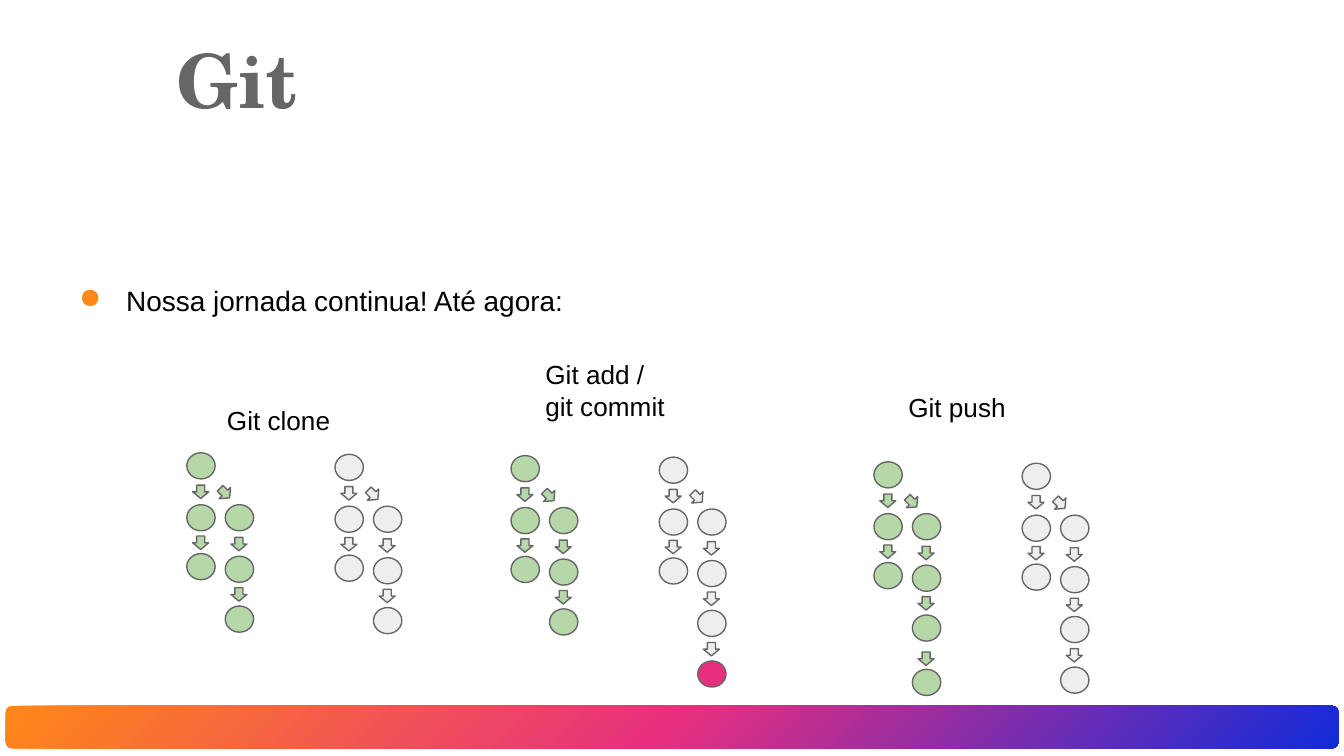
"""Build the Git slide: three steps, each with a green and a grey commit tree."""
from copy import deepcopy

from lxml.etree import SubElement
from pptx import Presentation
from pptx.dml.color import RGBColor
from pptx.enum.shapes import MSO_SHAPE as SHAPE
from pptx.enum.text import MSO_ANCHOR as ANCHOR, MSO_AUTO_SIZE as AUTO_SIZE, PP_ALIGN as ALIGN
from pptx.oxml.ns import qn
from pptx.util import Pt

COLORS = {
    "orange": "FF8818", "pink": "E72F7F", "blue": "112BDA",
    "green": "B6D7A8", "light": "EEEEEE", "grey": "666666", "black": "000000",
}
RGB = {name: RGBColor.from_string(value) for name, value in COLORS.items()}


def write_text(shape, text, font_format, anchor=ANCHOR.TOP):
    frame = shape.text_frame
    frame_format = {
        "word_wrap": True, "auto_size": AUTO_SIZE.NONE, "vertical_anchor": anchor,
        "margin_left": Pt(7.2), "margin_right": Pt(7.2),
        "margin_top": Pt(7.2), "margin_bottom": Pt(7.2),
    }
    for name, value in frame_format.items():
        setattr(frame, name, value)
    paragraph = frame.paragraphs[0]
    paragraph.alignment = ALIGN.LEFT
    run = paragraph.add_run()
    run.text = text
    for name, value in font_format.items():
        setattr(run.font, name, value)
    run.font.color.rgb = RGB["grey" if font_format.get("bold") else "black"]
    return paragraph


def add_part(kind, left, top, width, height, color, rotation=0):
    shape = slide.shapes.add_shape(kind, Pt(left), Pt(top), Pt(width), Pt(height))
    shape.shadow.inherit = False
    shape.rotation = rotation
    shape.fill.solid()
    shape.fill.fore_color.rgb = RGB[color]
    shape.line.color.rgb = RGB["grey"]
    shape.line.width = Pt(0.75)


presentation = Presentation()
presentation.slide_width, presentation.slide_height = Pt(720), Pt(405)
slide = presentation.slides.add_slide(presentation.slide_layouts[5])

bar = slide.shapes.add_shape(SHAPE.ROUNDED_RECTANGLE, Pt(2.9), Pt(378), Pt(714.2), Pt(23))
bar.shadow.inherit = False
bar.adjustments[0] = 0.167
bar.line.fill.background()
bar.fill.gradient()
bar.fill.gradient_angle = 315
stop_list = bar.element.xpath(".//a:gsLst")[0]
stop_list.append(deepcopy(stop_list[0]))
for stop, position, color in zip(bar.fill.gradient_stops, (0, 0.5, 1), ("orange", "pink", "blue")):
    stop.position = position
    stop.color.rgb = RGB[color]

title = slide.shapes.title
title.left, title.top, title.width, title.height = Pt(87.1), Pt(16.6), Pt(547.9), Pt(51.1)
write_text(title, "Git", {"size": Pt(40), "name": "TeX Gyre Schola", "bold": True}, ANCHOR.MIDDLE)

body = slide.shapes.add_textbox(Pt(24.5), Pt(67.7), Pt(671.8), Pt(305.3))
paragraph = write_text(body, "Nossa jornada continua! Até agora:", {"size": Pt(15), "name": "Arial"})
body.text_frame.margin_top = Pt(75)
paragraph.line_spacing = 1.5
properties = paragraph._p.get_or_add_pPr()
properties.set("marL", str(Pt(36)))
properties.set("indent", str(-Pt(25.2)))
bullet_color = SubElement(properties, qn("a:buClr"))
SubElement(bullet_color, qn("a:srgbClr"), val=COLORS["orange"])
SubElement(properties, qn("a:buChar"), char="●")

NODES = [(0, 0), (0, 27.8), (0, 54), (20.6, 27.8), (20.6, 55.4), (20.6, 82.1)]
ARROWS = [(3.8, 16.6, 90), (3.8, 43.9, 90), (16.8, 17.3, 45), (24.3, 44.6, 90), (24.3, 71.6, 90)]
TREES = [
    (100.1, 242.6, "green", None),
    (179.5, 243.4, "light", None),
    (273.8, 244.1, "green", None),
    (353.2, 244.9, "light", (98.6, 109.2, "pink")),
    (468.2, 247.4, "green", (101.2, 111.2, "green")),
    (547.6, 248.2, "light", (98.6, 109.2, "light")),
]
for tree_left, tree_top, color, new_commit in TREES:
    nodes = [(*node, color) for node in NODES]
    arrows = list(ARROWS)
    if new_commit:
        arrow_top, node_top, node_color = new_commit
        nodes.append((20.6, node_top, node_color))
        arrows.append((24.3, arrow_top, 90))
    for left, top, node_color in nodes:
        add_part(SHAPE.OVAL, tree_left + left, tree_top + top, 15.2, 14, node_color)
    for left, top, rotation in arrows:
        add_part(SHAPE.RIGHT_ARROW, tree_left + left, tree_top + top, 7.2, 8.6, color, rotation)

LABELS = [
    ("Git clone", 114.5, 209.5, 31.7),
    ("Git add / git commit", 285.1, 185, 48.2),
    ("Git push", 479.5, 202.3, 31.7),
]
for text, left, top, height in LABELS:
    label = slide.shapes.add_textbox(Pt(left), Pt(top), Pt(81.4), Pt(height))
    write_text(label, text, {"size": Pt(14), "name": "Arial"})

presentation.save("out.pptx")
